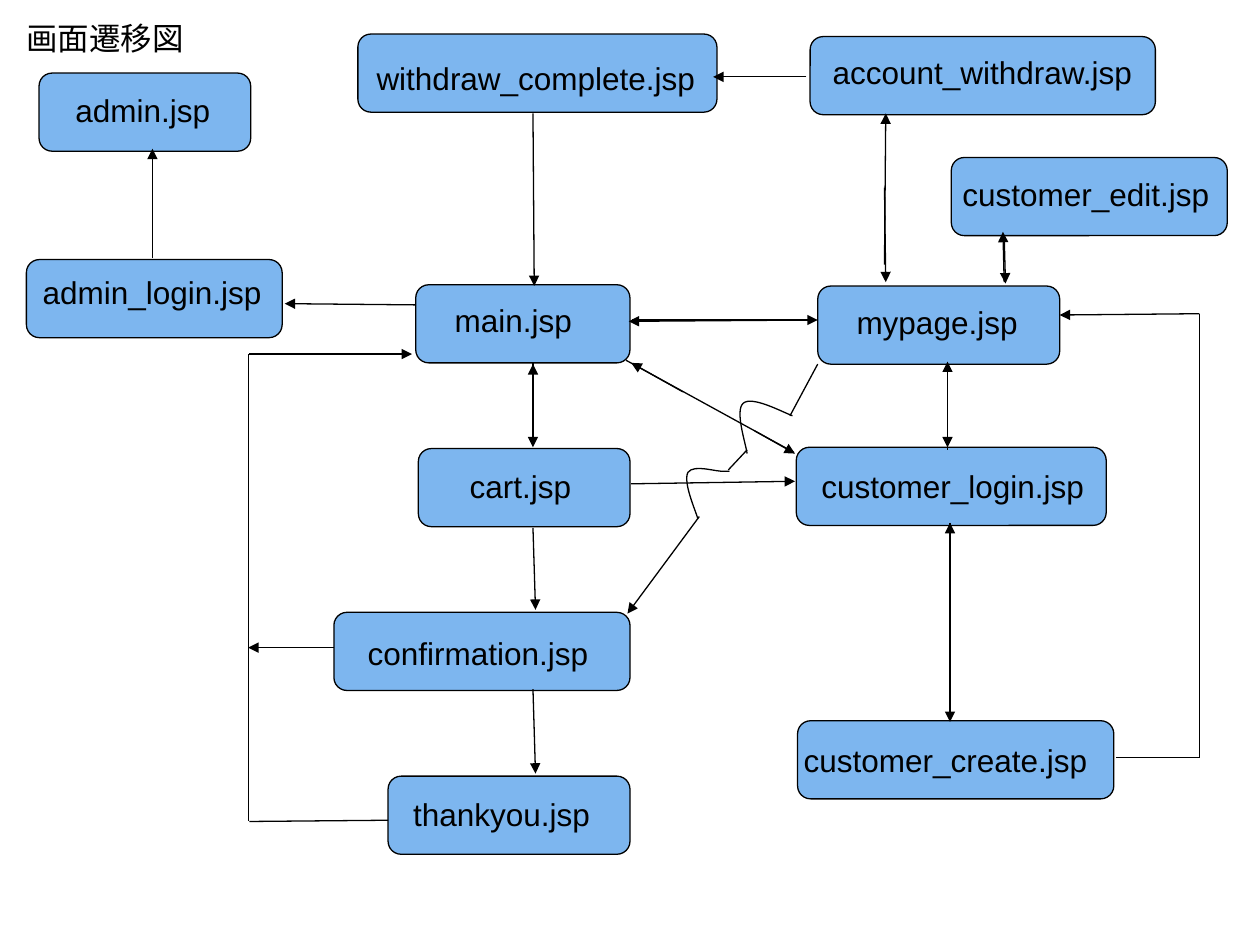
from lxml import etree
from pptx import Presentation
from pptx.dml.color import RGBColor
from pptx.enum.shapes import MSO_CONNECTOR, MSO_SHAPE
from pptx.enum.text import MSO_ANCHOR, MSO_AUTO_SIZE, PP_ALIGN
from pptx.oxml.ns import qn
from pptx.util import Inches, Pt

ROUNDED = MSO_SHAPE.FLOWCHART_ALTERNATE_PROCESS
STRAIGHT = MSO_CONNECTOR.STRAIGHT
TOP = MSO_ANCHOR.TOP
LEFT = PP_ALIGN.LEFT
GROW = MSO_AUTO_SIZE.SHAPE_TO_FIT_TEXT
BLUE = RGBColor(0x7D, 0xB6, 0xEF)
BLACK = RGBColor(0, 0, 0)
FONT = "Arial"
FONT_SIZE = Pt(18)
LINE_WIDTH = Pt(0.75)
BOX_HEIGHT = 0.62
LABEL_HEIGHT = 0.4

TITLE = "画面遷移図"

# name, (box left, top, width), (label left, top, width)
PAGES = [
    ("main.jsp", (3.3, 2.26, 1.7), (3.51, 2.34, 1.24)),
    ("mypage.jsp", (6.49, 2.27, 1.92), (6.7, 2.36, 1.5)),
    ("admin.jsp", (0.31, 0.58, 1.68), (0.5, 0.67, 1.36)),
    ("cart.jsp", (3.32, 3.56, 1.68), (3.63, 3.66, 1.04)),
    ("customer_create.jsp", (6.33, 5.72, 2.51), (6.28, 5.83, 2.49)),
    ("customer_login.jsp", (6.32, 3.55, 2.46), (6.42, 3.66, 2.31)),
    ("confirmation.jsp", (2.65, 4.86, 2.35), (2.82, 4.98, 2.18)),
    ("thankyou.jsp", (3.08, 6.16, 1.92), (3.18, 6.26, 1.62)),
    ("admin_login.jsp", (0.21, 2.06, 2.03), (0.24, 2.12, 2.01)),
    ("customer_edit.jsp", (7.55, 1.25, 2.19), (7.54, 1.34, 2.46)),
    ("withdraw_complete.jsp", (2.84, 0.27, 2.85), (2.89, 0.42, 3.26)),
    ("account_withdraw.jsp", (6.43, 0.29, 2.74), (6.51, 0.37, 2.66)),
]

ARROWS = [
    (4.23, 2.88, 4.23, 3.55), (4.23, 3.36, 4.23, 2.89),
    (4.23, 4.19, 4.25, 4.84), (4.23, 5.47, 4.25, 6.14),
    (4.23, 0.9, 4.24, 2.27), (6.4, 0.61, 5.66, 0.61),
    (3.3, 2.42, 2.26, 2.41), (1.21, 2.05, 1.21, 1.18),
    (5.02, 2.54, 6.49, 2.54), (6.48, 2.54, 4.99, 2.55),
    (7.54, 4.15, 7.54, 5.73), (7.54, 5.36, 7.54, 4.15),
    (7.97, 2.24, 7.96, 1.84), (7.97, 1.87, 7.98, 2.25),
    (7.02, 2.1, 7.03, 0.9), (7.02, 1.49, 7.03, 2.24),
    (7.52, 3.57, 7.52, 2.87), (7.52, 3.3, 7.52, 3.55),
    (5.99, 3.42, 6.31, 3.6), (5.42, 3.11, 5.01, 2.88),
    (5.01, 3.84, 6.31, 3.82), (5.55, 4.1, 4.98, 4.87),
    (1.98, 2.81, 3.27, 2.81), (2.65, 5.14, 1.97, 5.14),
    (9.52, 2.49, 8.41, 2.5),
]

PLAIN_LINES = [
    (1.97, 2.81, 1.97, 6.52), (1.98, 6.52, 3.08, 6.51),
    (9.52, 2.49, 9.52, 6.02), (9.52, 6.01, 8.86, 6.01),
    (4.97, 2.86, 6.3, 3.59), (6.27, 3.3, 6.49, 2.89),
    (5.78, 3.73, 5.93, 3.57),
]

CURVES = [
    [(5.54, 4.12), (5.52, 4.05), (5.42, 3.83), (5.46, 3.75),
     (5.51, 3.68), (5.69, 3.75), (5.75, 3.74),
     (5.82, 3.74), (5.77, 3.74), (5.78, 3.74)],
    [(5.93, 3.6), (5.92, 3.52), (5.83, 3.26), (5.9, 3.2),
     (5.97, 3.14), (6.21, 3.27), (6.29, 3.3)],
]


def style_line(shape):
    shape.line.color.rgb = BLACK
    shape.line.width = LINE_WIDTH


def write_text(shape, text):
    frame = shape.text_frame
    frame.text = text
    frame.word_wrap = True
    frame.auto_size = GROW
    frame.vertical_anchor = TOP
    paragraph = frame.paragraphs[0]
    paragraph.alignment = LEFT
    font = paragraph.runs[0].font
    font.name = FONT
    font.size = FONT_SIZE
    font.color.rgb = BLACK


def add_box(slide, left, top, width):
    box = slide.shapes.add_shape(
        ROUNDED, Inches(left), Inches(top), Inches(width), Inches(BOX_HEIGHT))
    box.shadow.inherit = False
    box.fill.solid()
    box.fill.fore_color.rgb = BLUE
    style_line(box)


def add_label(slide, text, left, top, width):
    label = slide.shapes.add_textbox(
        Inches(left), Inches(top), Inches(width), Inches(LABEL_HEIGHT))
    write_text(label, text)


def add_line(slide, ends, arrow):
    connector = slide.shapes.add_connector(STRAIGHT, *map(Inches, ends))
    style_line(connector)
    if arrow:
        etree.SubElement(connector.line._get_or_add_ln(), qn("a:tailEnd"), type="triangle")
    etree.SubElement(connector._element.spPr, qn("a:effectLst"))


def add_curve(slide, points):
    start, *others = [(Inches(x), Inches(y)) for x, y in points]
    builder = slide.shapes.build_freeform(*start)
    builder.add_line_segments(others, close=False)
    curve = builder.convert_to_shape()
    curve.shadow.inherit = False
    curve.fill.background()
    style_line(curve)
    segments = list(curve._element.iter(qn("a:lnTo")))
    outline = segments[0].getparent()
    for index in range(0, len(segments), 3):
        bezier = etree.SubElement(outline, qn("a:cubicBezTo"))
        for segment in segments[index:index + 3]:
            bezier.append(segment[0])
            outline.remove(segment)


def main():
    presentation = Presentation()
    presentation.slide_width = Inches(10)
    presentation.slide_height = Inches(7.5)
    slide = presentation.slides.add_slide(presentation.slide_layouts[5])

    title = slide.shapes.title
    title.left, title.top = Inches(0.11), Inches(0.1)
    title.width, title.height = Inches(2.54), Inches(LABEL_HEIGHT)
    write_text(title, TITLE)

    for name, box, label in PAGES:
        add_box(slide, *box)
        add_label(slide, name, *label)
    for ends in ARROWS:
        add_line(slide, ends, True)
    for ends in PLAIN_LINES:
        add_line(slide, ends, False)
    for points in CURVES:
        add_curve(slide, points)

    presentation.save("out.pptx")


if __name__ == "__main__":
    main()
